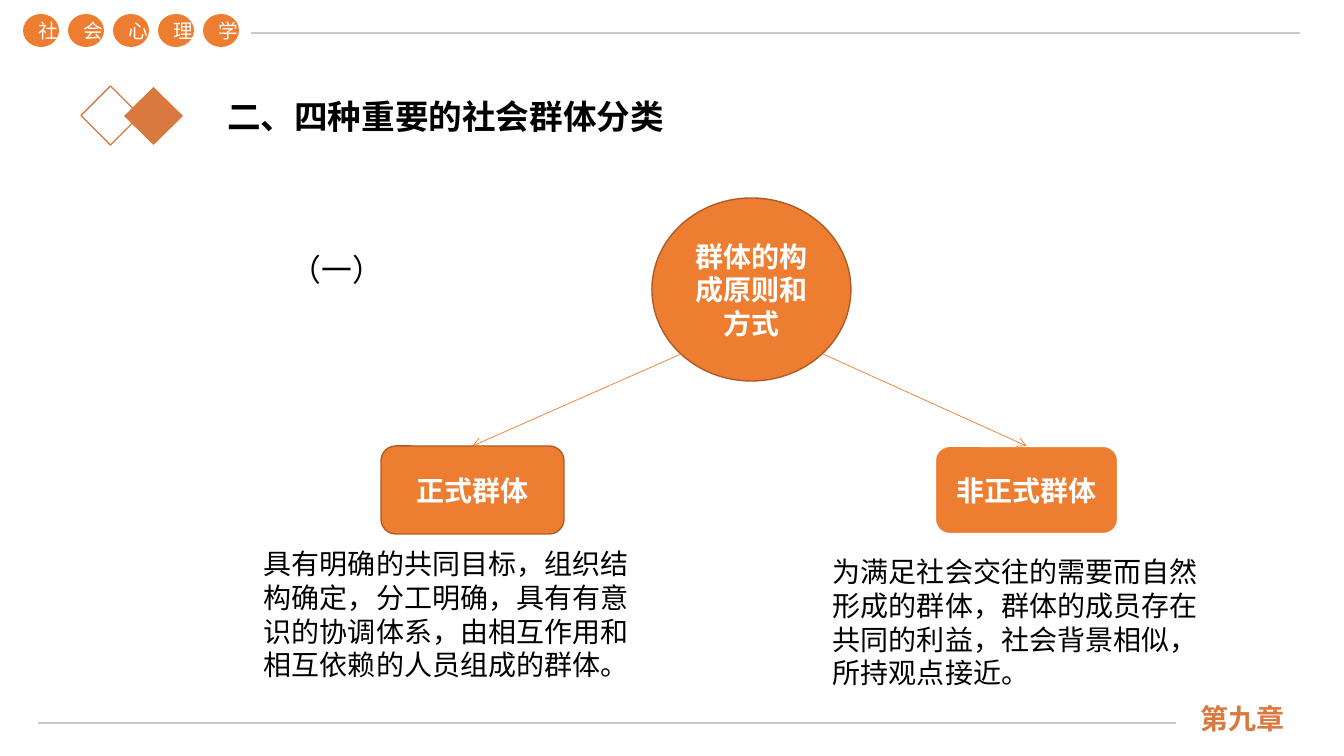
import pptx
import pptx.util
import pptx.dml.color
import pptx.enum.shapes
import pptx.enum.text
import lxml.etree

SHAPE = pptx.enum.shapes.MSO_SHAPE
ALIGN = pptx.enum.text.PP_ALIGN
ANCHOR = pptx.enum.text.MSO_ANCHOR
A = "{http://schemas.openxmlformats.org/drawingml/2006/main}"
SCALE = 914400 / 100.8
THEME = {
    "font": "Noto Sans CJK SC", "foot": "Noto Sans CJK JP",
    "fill": "ED7D31", "edge": "AF5C24", "accent": "D9793F",
    "rule": "C9C9C9", "dark": "000000", "white": "FFFFFF",
    "badge": 14, "body": 20, "mark": 22, "title": 24,
}


def px(*sizes):
    return [pptx.util.Emu(round(n * SCALE)) for n in sizes]


def write(shape, text, size="body", color="dark", bold=False, font="font",
          align=ALIGN.LEFT, anchor=ANCHOR.TOP, wrap=True, space=1.0):
    frame = shape.text_frame
    frame.auto_size = pptx.enum.text.MSO_AUTO_SIZE.NONE
    frame.word_wrap = wrap
    frame.vertical_anchor = anchor
    para = frame.paragraphs[0]
    para.alignment = align
    para.line_spacing = space
    run = para.add_run()
    run.text = text
    run.font.size = pptx.util.Pt(THEME[size])
    run.font.bold = bold
    run.font.color.rgb = pptx.dml.color.RGBColor.from_string(THEME[color])
    run.font.name = THEME[font]
    east = lxml.etree.SubElement(run.font._element, A + "ea")
    east.set("typeface", THEME[font])


deck = pptx.Presentation()
deck.slide_width, deck.slide_height = px(1344, 756)
slide = deck.slides.add_slide(deck.slide_layouts[5])
shapes = slide.shapes

# Title
title = shapes.title
title.left, title.top, title.width, title.height = px(217, 91, 462, 50)
write(title, "二、四种重要的社会群体分类", size="title", bold=True, wrap=False)

# Plain shapes: kind, box, fill, edge, edge width, text, text size, bold
badges = [(SHAPE.OVAL, (23 + 45 * i, 14, 36, 33), "fill", None, 0, char, "badge", False)
          for i, char in enumerate("社会心理学")]
signs = [
    (SHAPE.DIAMOND, (124, 87, 59, 58), "accent", None, 0, "", "body", False),
    (SHAPE.DIAMOND, (81, 86, 59, 59), None, "accent", 1, "", "body", False),
]
nodes = [
    (SHAPE.OVAL, (652, 198, 199, 183), "fill", "edge", 1, "群体的构成原则和方式", "body", True),
    (SHAPE.ROUNDED_RECTANGLE, (381, 446, 183, 88), "fill", "edge", 1, "正式群体", "body", True),
    (SHAPE.ROUNDED_RECTANGLE, (935, 446, 183, 88), "fill", "white", 1.5, "非正式群体", "body", True),
]
made = []
for kind, box, fill, edge, width, text, size, bold in badges + signs + nodes:
    shape = shapes.add_shape(kind, *px(*box))
    shape.shadow.inherit = False
    if fill:
        shape.fill.solid()
        shape.fill.fore_color.rgb = pptx.dml.color.RGBColor.from_string(THEME[fill])
    else:
        shape.fill.background()
    if edge:
        shape.line.color.rgb = pptx.dml.color.RGBColor.from_string(THEME[edge])
        shape.line.width = pptx.util.Pt(width)
    else:
        shape.line.fill.background()
    if text:
        write(shape, text, size=size, color="white", bold=bold,
              align=ALIGN.CENTER, anchor=ANCHOR.MIDDLE)
    made.append(shape)
formal, casual = made[-2:]

# Rules and arrows: ends, color, width, target box
lines = [
    ((38, 723, 1176, 723), "rule", 1, None),
    ((251, 33, 1300, 33), "rule", 1, None),
    ((681, 354, 473, 446), "fill", 0.5, formal),
    ((823, 354, 1027, 446), "fill", 0.5, casual),
]
for ends, color, width, target in lines:
    line = shapes.add_connector(pptx.enum.shapes.MSO_CONNECTOR.STRAIGHT, *px(*ends))
    line.line.color.rgb = pptx.dml.color.RGBColor.from_string(THEME[color])
    line.line.width = pptx.util.Pt(width)
    if target:
        line.end_connect(target, 0)
        tail = lxml.etree.SubElement(line.line._get_or_add_ln(), A + "tailEnd")
        tail.set("type", "arrow")
    lxml.etree.SubElement(line._element.spPr, A + "effectLst")

# Text boxes
notes = [
    ((281, 227, 511, 59), "（一）", dict(size="mark", align=ALIGN.JUSTIFY, space=1.5)),
    ((254, 542, 409, 146), "具有明确的共同目标，组织结构确定，分工明确，具有有意识的协调体系，"
     "由相互作用和相互依赖的人员组成的群体。", {}),
    ((823, 550, 409, 146), "为满足社会交往的需要而自然形成的群体，群体的成员存在共同的利益，"
     "社会背景相似，所持观点接近。", {}),
    ((1191, 700, 150, 40), "第九章", dict(color="accent", bold=True, font="foot",
                                       anchor=ANCHOR.BOTTOM)),
]
for box, text, style in notes:
    write(shapes.add_textbox(*px(*box)), text, **style)

deck.save("out.pptx")
